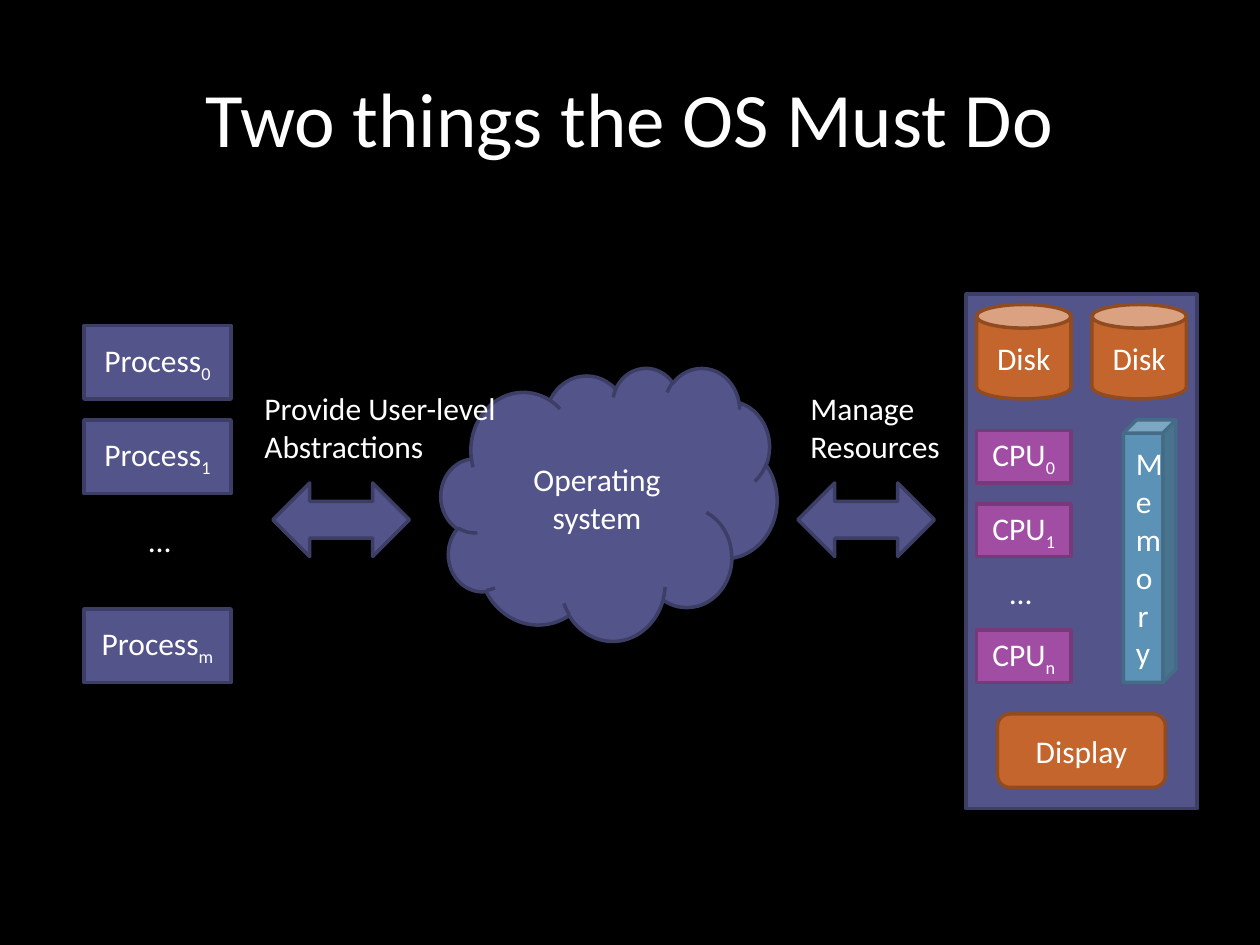
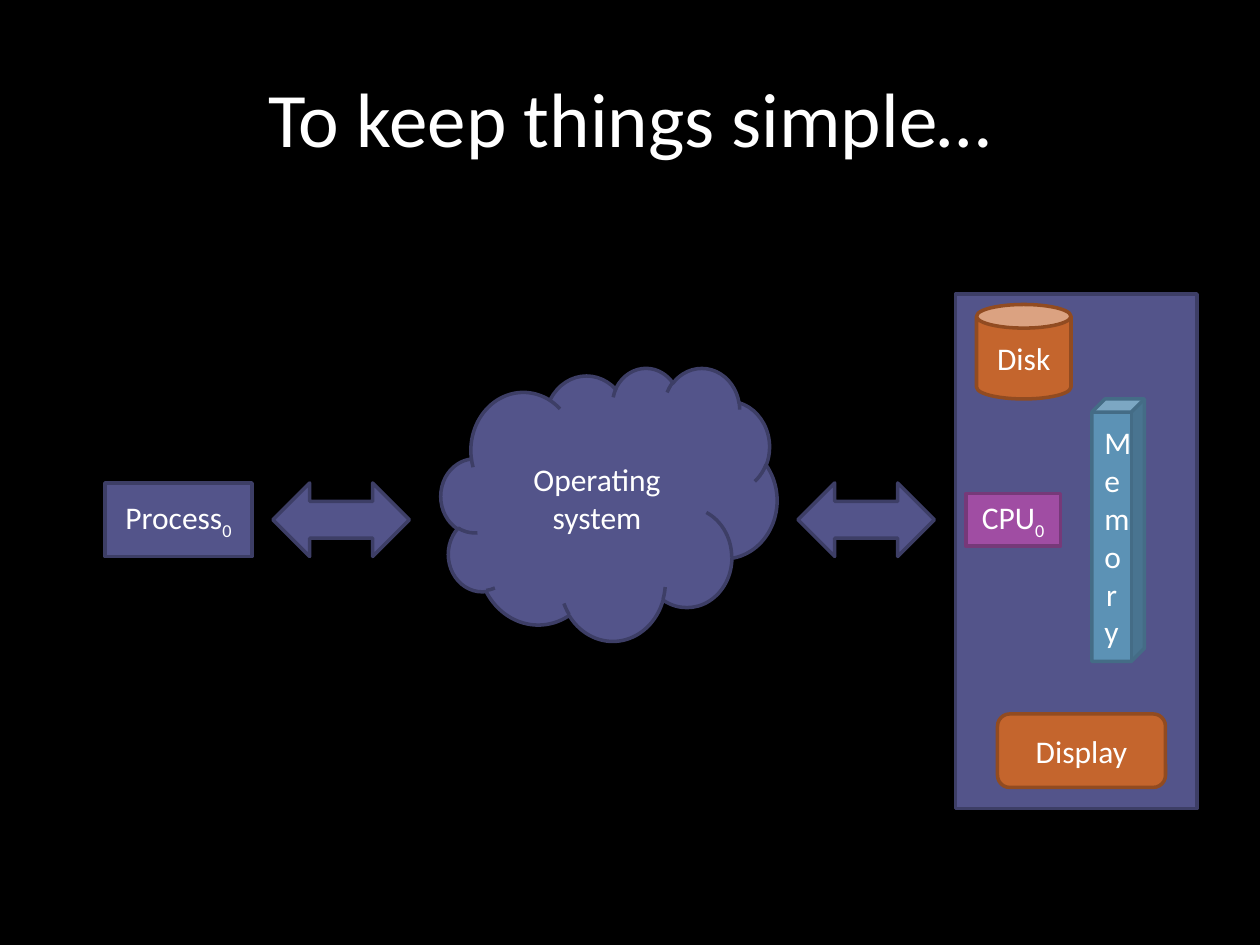
from pptx import Presentation
from pptx.dml.color import RGBColor
from pptx.enum.shapes import MSO_SHAPE
from pptx.enum.text import MSO_ANCHOR, MSO_AUTO_SIZE, PP_ALIGN
from pptx.util import Pt

EMU_PER_PX = 7620  # 120 px to the inch

COLORS = {
    "background": "000000", "text": "FFFFFF",
    "indigo": "53548A", "indigo_edge": "3D3E66",
    "orange": "C4652D", "orange_edge": "914B21",
    "purple": "A04DA3", "purple_edge": "763979",
    "blue": "5C92B5", "blue_edge": "446C86",
}

# part: preset, colour, width, height
PARTS = {
    "hardware": (MSO_SHAPE.FLOWCHART_PROCESS, "indigo", 220, 490),
    "wide hardware": (MSO_SHAPE.FLOWCHART_PROCESS, "indigo", 230, 490),
    "system": (MSO_SHAPE.CLOUD, "indigo", 320, 260),
    "process": (MSO_SHAPE.FLOWCHART_PROCESS, "indigo", 140, 70),
    "exchange": (MSO_SHAPE.LEFT_RIGHT_ARROW, "indigo", 130, 70),
    "disk": (MSO_SHAPE.CAN, "orange", 90, 90),
    "cpu": (MSO_SHAPE.FLOWCHART_PROCESS, "purple", 90, 50),
    "memory": (MSO_SHAPE.CUBE, "blue", 50, 250),
    "display": (MSO_SHAPE.ROUNDED_RECTANGLE, "orange", 160, 70),
}

# part, left, top, label, subscript
SHARED_PARTS = [
    ("system", 420, 350, "Operating system", ""),
    ("exchange", 260, 460, "", ""),
    ("exchange", 760, 460, "", ""),
    ("disk", 930, 290, "Disk", ""),
    ("display", 950, 680, "Display", ""),
]

PROCESS_TOP, PROCESS_STEP = 310, 90
CPU_TOP, CPU_STEP = 410, 70

SLIDES = [
    {
        "title": "Two things the OS Must Do",
        "hardware": ("hardware", 920, 280, "", ""),
        "parts": [
            ("disk", 1040, 290, "Disk", ""),
            ("memory", 1070, 400, "Memory", ""),
            *[("process", 80, PROCESS_TOP + row * PROCESS_STEP, "Process", index)
              for row, index in ((0, "0"), (1, "1"), (3, "m"))],
            *[("cpu", 930, top, "CPU", index)
              for top, index in ((CPU_TOP, "0"), (CPU_TOP + CPU_STEP, "1"), (600, "n"))],
        ],
        # left, top, width, height, words
        "notes": [
            (130, 490, 50, 48, "…"),
            (950, 540, 50, 48, "…"),
            (240, 365, 260, 85, "Provide User-level Abstractions"),
            (760, 365, 180, 85, "Manage Resources"),
        ],
    },
    {
        "title": "To keep things simple…",
        "hardware": ("wide hardware", 910, 280, "", ""),
        "parts": [
            ("memory", 1040, 380, "Memory", ""),
            ("cpu", 920, 470, "CPU", "0"),
            ("process", 100, 460, "Process", "0"),
        ],
        "notes": [],
    },
]


def write(frame, words, subscript="", size=18, align=PP_ALIGN.CENTER, anchor=MSO_ANCHOR.MIDDLE):
    frame.word_wrap = True
    frame.vertical_anchor = anchor
    paragraph = frame.paragraphs[0]
    paragraph.alignment = align
    font_format = {"name": "Calibri", "size": Pt(size)}
    for piece in filter(None, (words, subscript)):
        run = paragraph.add_run()
        run.text = piece
        for attribute, value in font_format.items():
            setattr(run.font, attribute, value)
        run.font.color.rgb = RGBColor.from_string(COLORS["text"])
    if subscript:
        run.font._element.set("baseline", "-25000")


def px(*lengths):
    return [length * EMU_PER_PX for length in lengths]


deck = Presentation()
deck.slide_width, deck.slide_height = px(1200, 900)

for content in SLIDES:
    slide = deck.slides.add_slide(deck.slide_layouts[6])
    slide.background.fill.solid()
    slide.background.fill.fore_color.rgb = RGBColor.from_string(COLORS["background"])

    title = slide.shapes.add_textbox(*px(60, 36, 1080, 150))
    write(title.text_frame, content["title"], size=44)

    for part, left, top, label, subscript in [content["hardware"], *SHARED_PARTS, *content["parts"]]:
        preset, color, width, height = PARTS[part]
        shape = slide.shapes.add_shape(preset, *px(left, top, width, height))
        shape.shadow.inherit = False
        shape.fill.solid()
        shape.fill.fore_color.rgb = RGBColor.from_string(COLORS[color])
        shape.line.color.rgb = RGBColor.from_string(COLORS[color + "_edge"])
        shape.line.width = Pt(2)
        if label:
            write(shape.text_frame, label, subscript)

    for *bounds, words in content["notes"]:
        note = slide.shapes.add_textbox(*px(*bounds))
        write(note.text_frame, words, align=PP_ALIGN.LEFT, anchor=MSO_ANCHOR.TOP)
        note.text_frame.auto_size = MSO_AUTO_SIZE.SHAPE_TO_FIT_TEXT

deck.save("out.pptx")
